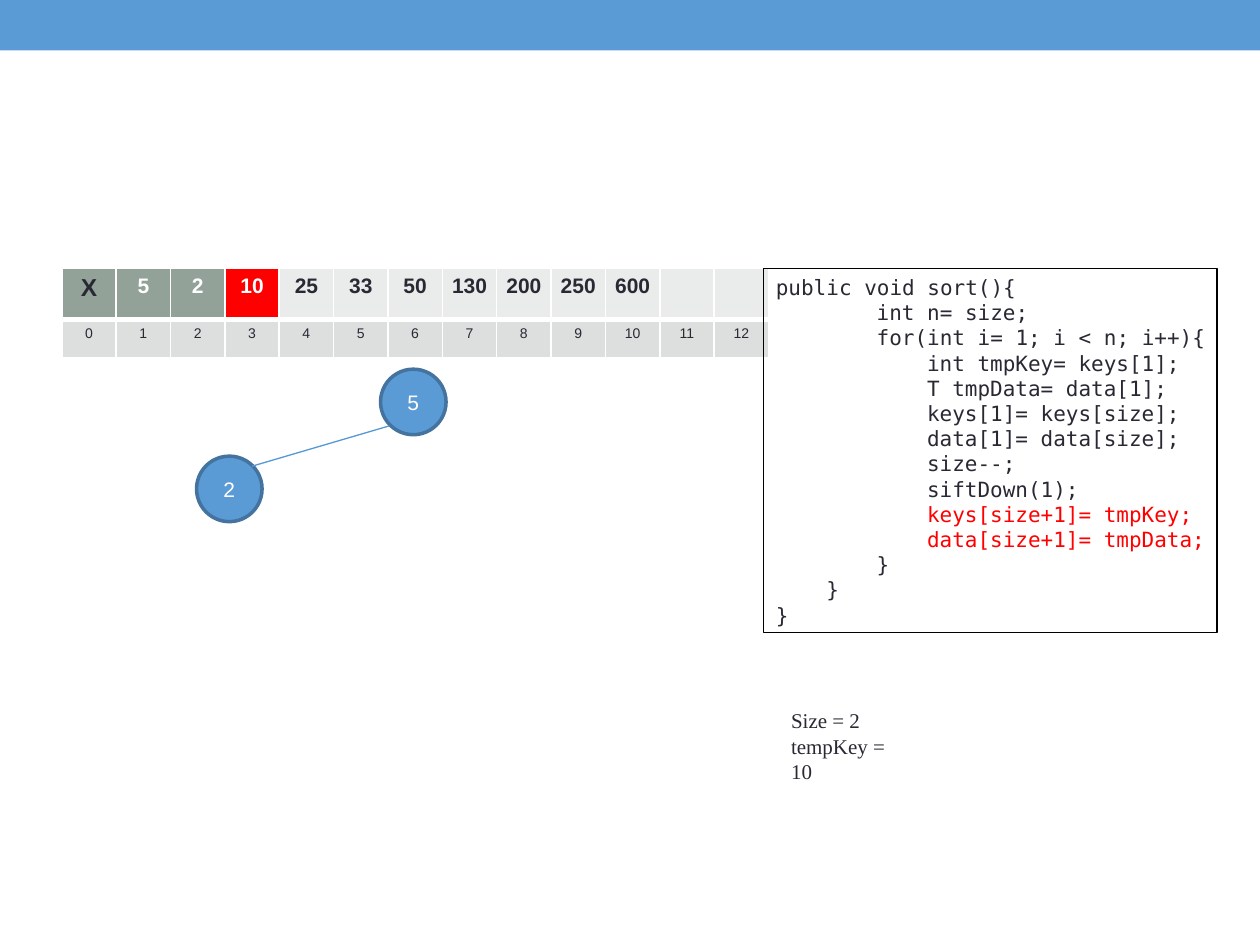
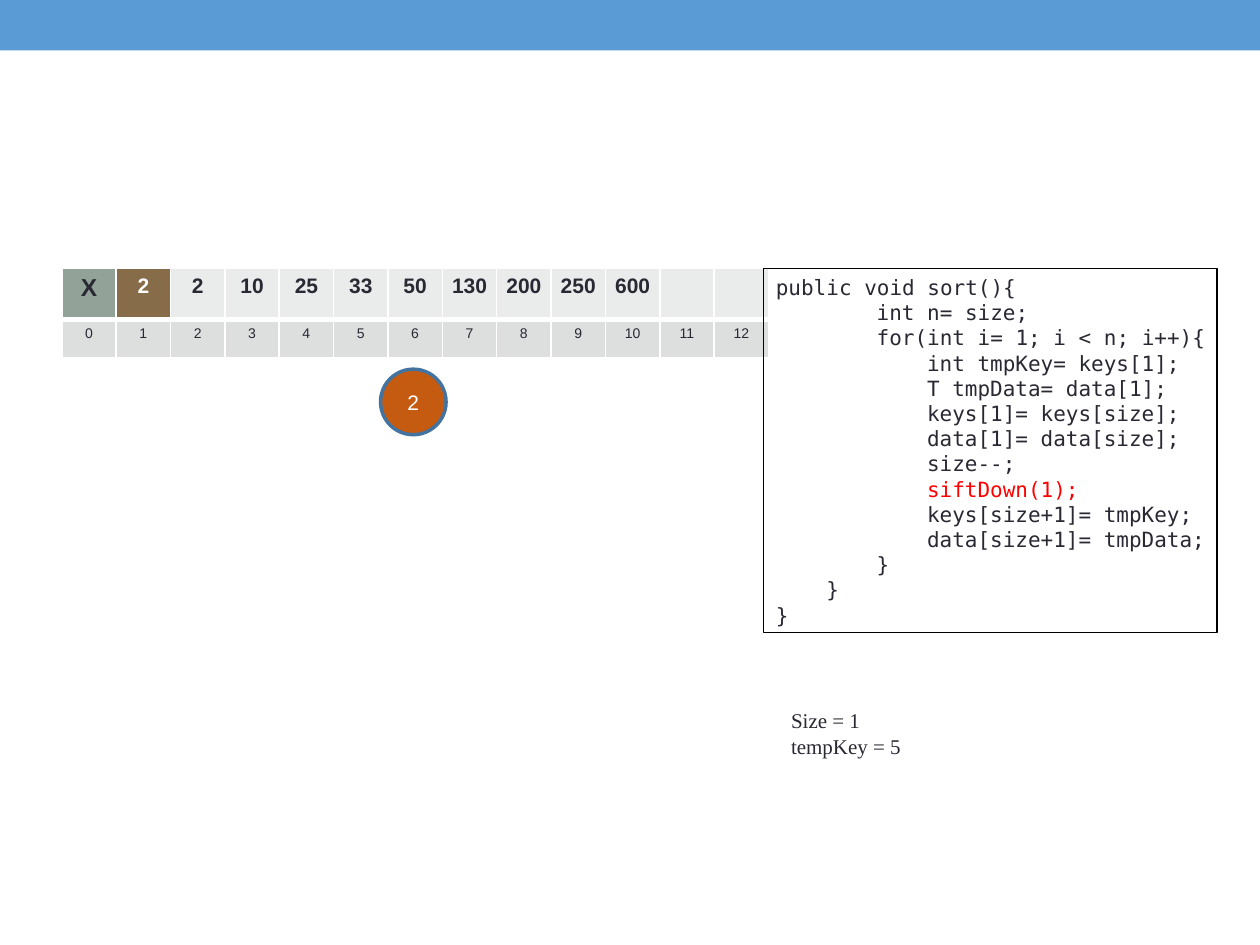
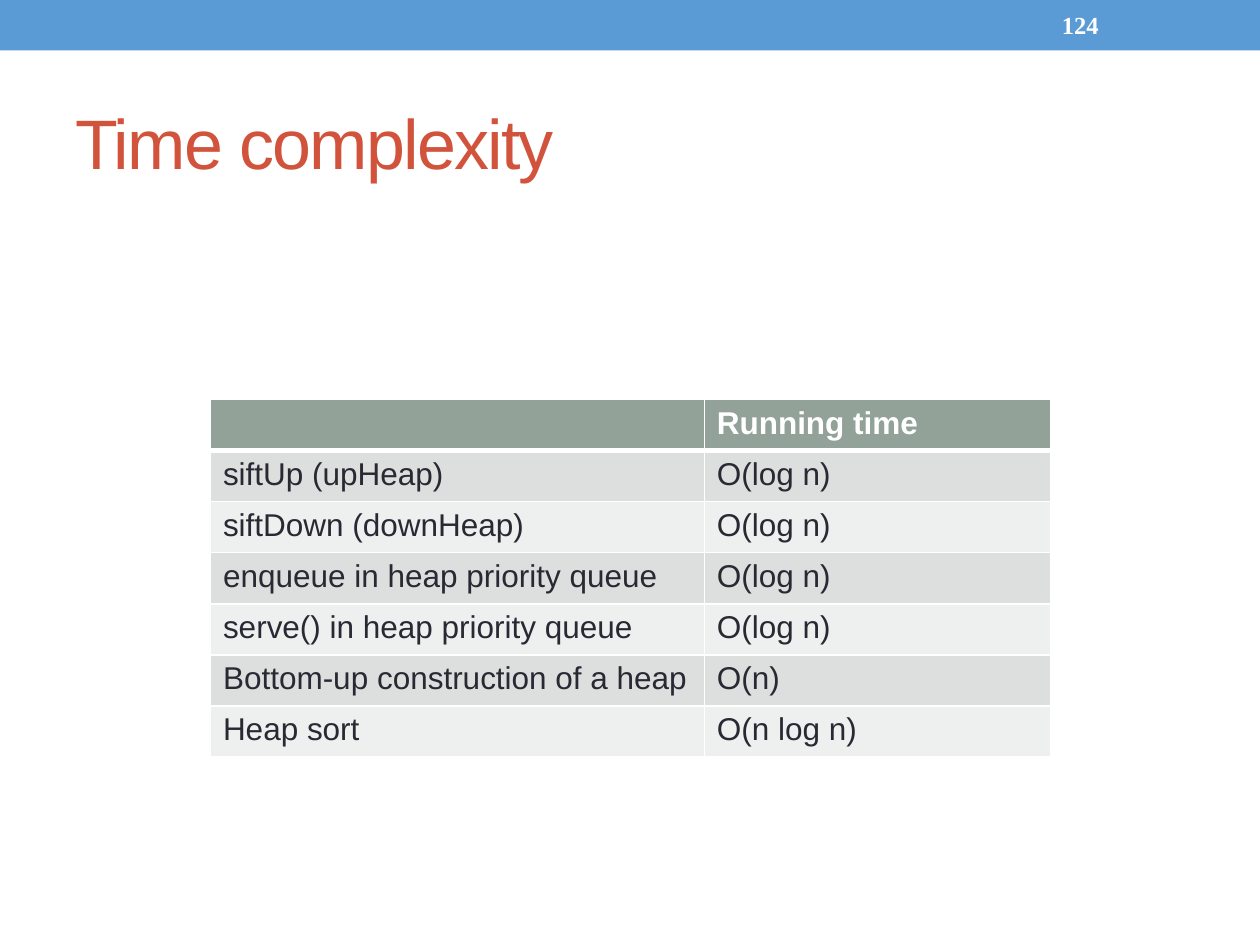
from lxml import etree
from pptx import Presentation
from pptx.dml.color import RGBColor
from pptx.enum.shapes import MSO_CONNECTOR, MSO_SHAPE
from pptx.enum.text import MSO_ANCHOR, PP_ALIGN
from pptx.oxml.ns import qn
from pptx.util import Inches, Pt

BLUE, DARK_BLUE, ORANGE = "5B9BD5", "43739E", "C55A11"
INK, WHITE, RED, BLACK = "292934", "FFFFFF", "FF0000", "000000"
GREEN, BROWN, TITLE_RED = "93A299", "866C49", "D2533C"
PALE, GREY, LIGHT = "E9ECEB", "DCDFDD", "EEF0EF"
SANS, MONO, SERIF = "Arial", "DejaVu Sans Mono", "Times New Roman"


def write(p, text, size, color, name=SANS, bold=False, align=PP_ALIGN.LEFT):
    p.text = text
    p.alignment = align
    p.font.size = Pt(size)
    p.font.name = name
    p.font.bold = bold
    p.font.color.rgb = RGBColor.from_string(color)


def style_cell(cell, fill, top=0.96, bottom=0.96):
    cell.fill.solid()
    cell.fill.fore_color.rgb = RGBColor.from_string(fill)
    tc_pr = cell._tc.get_or_add_tcPr()
    edges = [("a:lnL", 0.96), ("a:lnR", 0.96), ("a:lnT", top), ("a:lnB", bottom)]
    for i, (tag, width) in enumerate(edges):
        ln = etree.Element(qn(tag), w=str(Pt(width)))
        solid = etree.SubElement(ln, qn("a:solidFill"))
        etree.SubElement(solid, qn("a:srgbClr"), val=WHITE)
        tc_pr.insert(i, ln)


prs = Presentation()
prs.slide_width = Inches(10)
prs.slide_height = Inches(7.5)

slides = [prs.slides.add_slide(prs.slide_layouts[i]) for i in (6, 6, 5)]
for s in slides:
    band = s.shapes.add_shape(MSO_SHAPE.RECTANGLE, 0, 0, prs.slide_width, Inches(0.4))
    band.shadow.inherit = False
    band.fill.solid()
    band.fill.fore_color.rgb = RGBColor.from_string(BLUE)
    band.line.fill.background()

CODE = [
    (0, "public void sort(){"),
    (2, "int n= size;"),
    (2, "for(int i= 1; i < n; i++){"),
    (3, "int tmpKey= keys[1];"),
    (3, "T tmpData= data[1];"),
    (3, "keys[1]= keys[size];"),
    (3, "data[1]= data[size];"),
    (3, "size--;"),
    (3, "siftDown(1);"),
    (3, "keys[size+1]= tmpKey;"),
    (3, "data[size+1]= tmpData;"),
    (2, "}"),
    (1, "}"),
    (0, "}"),
]
SORTED_KEYS = ["10", "25", "33", "50", "130", "200", "250", "600", "", ""]

steps = [
    {
        "keys": ["X", "5", "2"] + SORTED_KEYS,
        "fills": {1: GREEN, 2: GREEN, 3: RED},
        "nodes": [("5", 3.02, 2.93, BLUE), ("2", 1.56, 3.62, BLUE)],
        "edges": [(3.09, 3.38, 2, 3.7)],
        "active": (9, 10),
        "state": ["Size = 2", "tempKey = 10"],
    },
    {
        "keys": ["X", "2", "2"] + SORTED_KEYS,
        "fills": {1: BROWN},
        "nodes": [("2", 3.02, 2.93, ORANGE)],
        "edges": [],
        "active": (8,),
        "state": ["Size = 1", "tempKey = 5"],
    },
]

for s, step in zip(slides, steps):
    keys, fills = step["keys"], step["fills"]
    frame = s.shapes.add_table(2, len(keys), Inches(0.49), Inches(2.13), Inches(5.61), Inches(0.68))
    table = frame.table
    table.first_row = table.horz_banding = False
    table.rows[0].height = Inches(0.38)
    table.rows[1].height = Inches(0.3)
    for i, key in enumerate(keys):
        table.columns[i].width = Inches(5.61 / len(keys))
        key_cell, index_cell = table.cell(0, i), table.cell(1, i)
        style_cell(key_cell, GREEN if i == 0 else fills.get(i, PALE), bottom=3)
        style_cell(index_cell, GREY, top=3)
        for cell in (key_cell, index_cell):
            cell.margin_left = cell.margin_right = Inches(0.07)
        if key:
            write(key_cell.text_frame.paragraphs[0], key, 14 if i == 0 else 12,
                  WHITE if i in fills else INK, bold=True, align=PP_ALIGN.CENTER)
        write(index_cell.text_frame.paragraphs[0], str(i), 8, INK, align=PP_ALIGN.CENTER)

    for key, x, y, fill in step["nodes"]:
        node = s.shapes.add_shape(MSO_SHAPE.OVAL, Inches(x), Inches(y), Inches(0.52), Inches(0.52))
        node.shadow.inherit = False
        node.fill.solid()
        node.fill.fore_color.rgb = RGBColor.from_string(fill)
        node.line.color.rgb = RGBColor.from_string(DARK_BLUE)
        node.line.width = Pt(2)
        node.text_frame.vertical_anchor = MSO_ANCHOR.MIDDLE
        write(node.text_frame.paragraphs[0], key, 12, WHITE, align=PP_ALIGN.CENTER)

    for edge in step["edges"]:
        line = s.shapes.add_connector(MSO_CONNECTOR.STRAIGHT, *[Inches(v) for v in edge])
        line.line.color.rgb = RGBColor.from_string("5698D3")
        line.line.width = Pt(0.75)
        etree.SubElement(line._element.spPr, qn("a:effectLst"))

    box = s.shapes.add_shape(MSO_SHAPE.RECTANGLE, Inches(6.06), Inches(2.13), Inches(3.6), Inches(2.89))
    box.shadow.inherit = False
    box.fill.background()
    box.line.color.rgb = RGBColor.from_string(BLACK)
    box.line.width = Pt(0.75)
    tf = box.text_frame
    tf.word_wrap = True
    tf.margin_right = 0
    tf.vertical_anchor = MSO_ANCHOR.TOP
    for i, (level, text) in enumerate(CODE):
        p = tf.add_paragraph() if i else tf.paragraphs[0]
        write(p, text, 12, RED if i in step["active"] else INK, MONO)
        p._p.get_or_add_pPr().set("marL", str(Inches(0.4 * level)))

    tf = s.shapes.add_textbox(Inches(6.18), Inches(5.57), Inches(1.15), Inches(0.5)).text_frame
    tf.word_wrap = False
    for i, text in enumerate(step["state"]):
        p = tf.add_paragraph() if i else tf.paragraphs[0]
        write(p, text, 12, INK, SERIF)

s = slides[2]
title = s.shapes.title
title.left, title.top, title.width, title.height = [Inches(v) for v in (0.5, 0.58, 9, 1.08)]
title.text_frame.vertical_anchor = MSO_ANCHOR.MIDDLE
p = title.text_frame.paragraphs[0]
write(p, "Time complexity", 40, TITLE_RED)
p.runs[0]._r.get_or_add_rPr().set("spc", "-100")

tf = s.shapes.add_textbox(Inches(8.33), Inches(0.02), Inches(1.17), Inches(0.36)).text_frame
tf.word_wrap = True
tf.vertical_anchor = MSO_ANCHOR.MIDDLE
write(tf.paragraphs[0], "124", 14, WHITE, SERIF, bold=True)

running_times = [
    ("", "Running time"),
    ("siftUp (upHeap)", "O(log n)"),
    ("siftDown (downHeap)", "O(log n)"),
    ("enqueue in heap priority queue", "O(log n)"),
    ("serve() in heap priority queue", "O(log n)"),
    ("Bottom-up construction of a heap", "O(n)"),
    ("Heap sort", "O(n log n)"),
]
frame = s.shapes.add_table(len(running_times), 2, Inches(1.67), Inches(3.17), Inches(6.67), Inches(2.84))
table = frame.table
table.first_row = table.horz_banding = False
table.columns[0].width = Inches(3.92)
table.columns[1].width = Inches(2.75)
for i, row in enumerate(running_times):
    header = i == 0
    fill = GREEN if header else GREY if i % 2 else LIGHT
    for j, text in enumerate(row):
        cell = table.cell(i, j)
        style_cell(cell, fill, top=3 if i == 1 else 0.96, bottom=3 if header else 0.96)
        if text:
            write(cell.text_frame.paragraphs[0], text, 18, WHITE if header else INK, bold=header)

prs.save("out.pptx")
